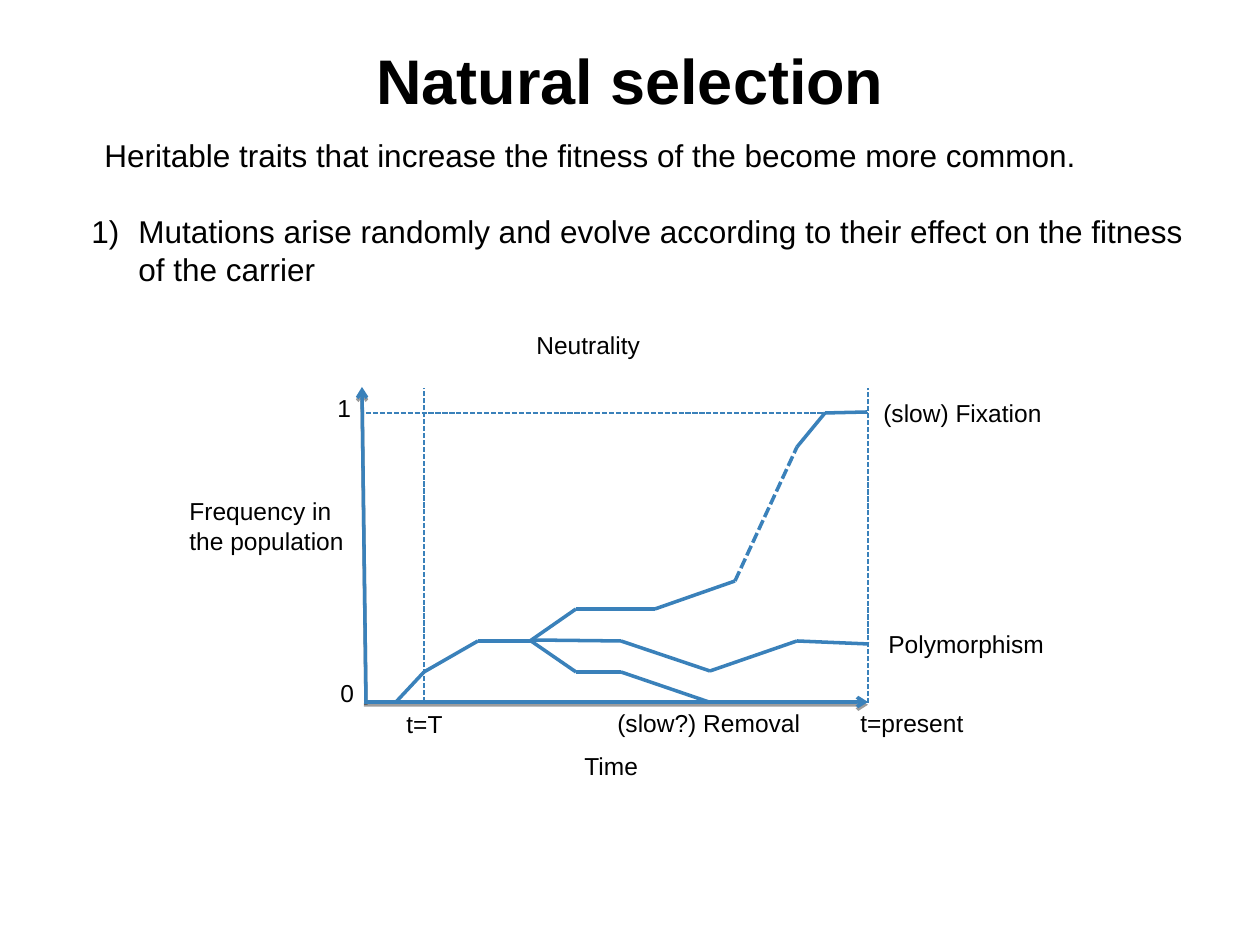
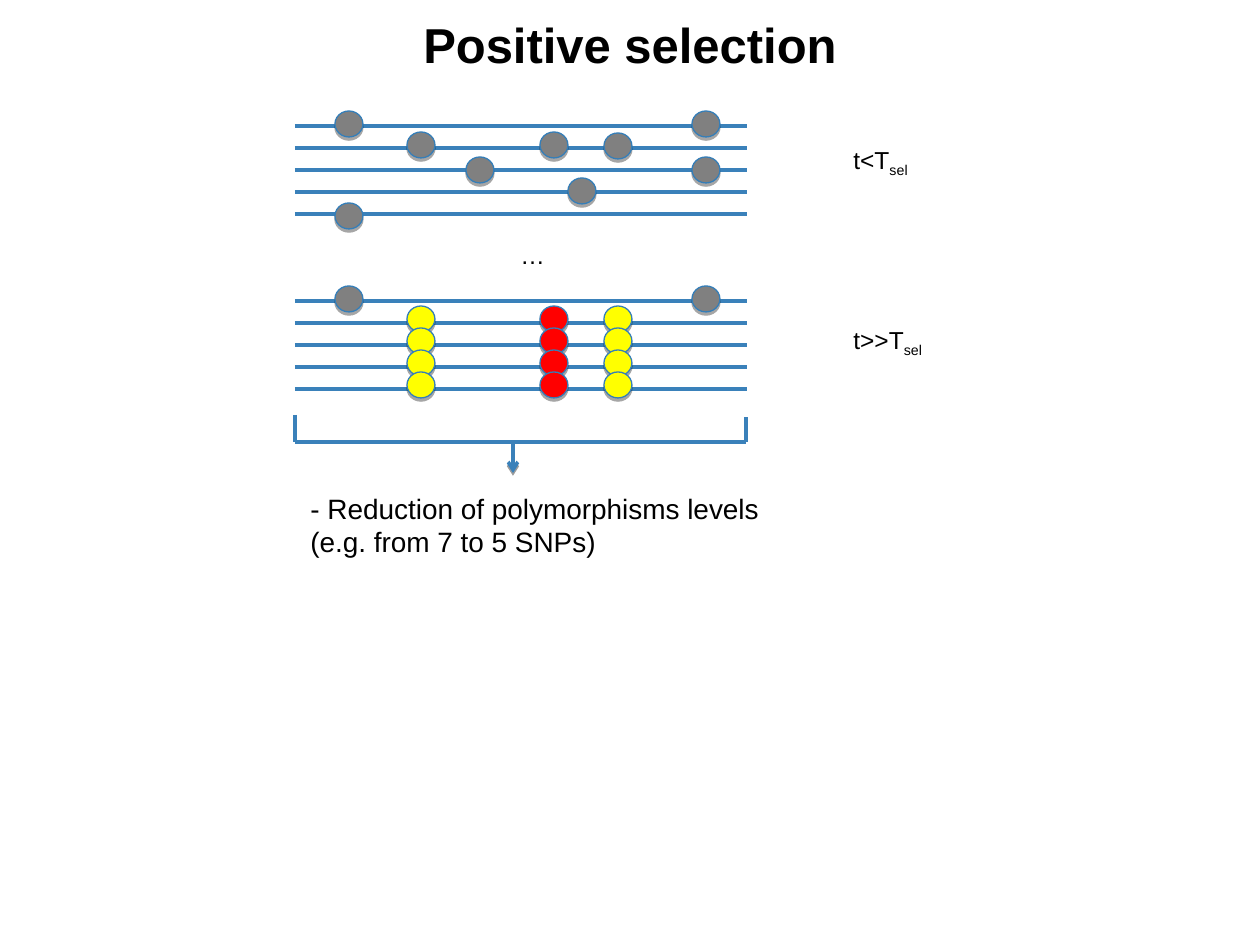
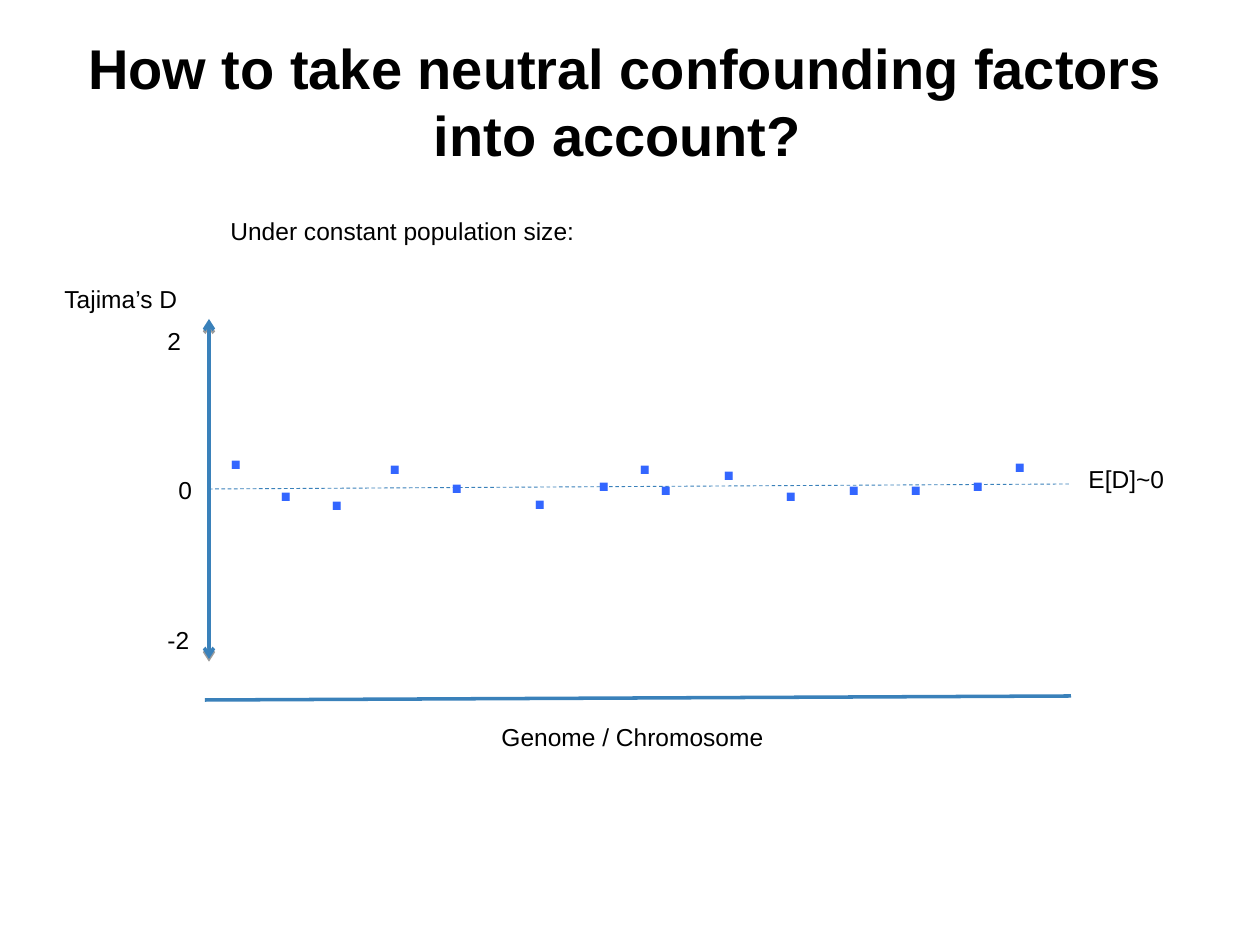
from lxml import etree
from pptx import Presentation
from pptx.dml.color import RGBColor
from pptx.enum.dml import MSO_LINE
from pptx.enum.shapes import MSO_CONNECTOR, MSO_SHAPE
from pptx.enum.text import MSO_ANCHOR, MSO_AUTO_SIZE, PP_ALIGN
from pptx.oxml.ns import qn
from pptx.util import Pt

PX = 914400 / 126
FONT = "Arial"
BLACK = RGBColor(0x00, 0x00, 0x00)
BLUE = RGBColor(0x3A, 0x81, 0xBA)
RIM = RGBColor(0x35, 0x7E, 0xB8)
DOT_BLUE = RGBColor(0x33, 0x66, 0xFF)
GREY = RGBColor(0x80, 0x80, 0x80)
YELLOW = RGBColor(0xFF, 0xFF, 0x00)
RED = RGBColor(0xFF, 0x00, 0x00)

# Slide 1: titles are text, box, size; labels are text, left, top, width
NATURAL_TITLE = ("Natural selection", (63, 0, 1134, 158), 36)
DEFINITION = "Heritable traits that increase the fitness of the become more common."
FIRST_POINT = ("Mutations arise randomly and evolve according to their effect "
               "on the fitness of the carrier")
NATURAL_LABELS = [
    ("0", 328, 672, 42), ("1", 325, 387, 42), ("Time", 572, 745, 98),
    ("t=T", 394, 703, 68), ("Neutrality", 524, 324, 136),
    ("t=present", 848, 702, 136), ("(slow?) Removal", 605, 702, 214),
    ("(slow) Fixation", 871, 392, 190), ("Polymorphism", 876, 623, 190),
]
FREQUENCY_AXIS = [(366, 702), (362, 387)]
TIME_AXIS = [(364, 702), (868, 702)]
GUIDES = [
    [(424, 702), (424, 388)],
    [(366, 413), (868, 413)],
    [(868, 703), (868, 388)],
]
FATES = [
    [(396, 702), (424, 672), (478, 641), (531, 641), (576, 672),
     (621, 672), (709, 702)],
    [(530, 641), (576, 609), (655, 609), (735, 581)],
    [(797, 447), (825, 413), (867, 412)],
    [(531, 640), (621, 641), (710, 671), (797, 641), (869, 644)],
]
FAST_RISE = [(735, 581), (797, 447)]

# Slide 2
POSITIVE_TITLE = ("Positive selection", (63, 2, 1134, 83), 28)
STRAND_LEFT, STRAND_RIGHT = 295, 747
STRAND_COUNT, STRAND_GAP = 5, 22
BEFORE_TOP, AFTER_TOP = 126, 301
BEFORE_ALLELES = [
    (335, 111, GREY), (407, 132, GREY), (466, 157, GREY), (335, 203, GREY),
    (540, 132, GREY), (568, 178, GREY), (692, 157, GREY), (692, 111, GREY),
    (604, 133, GREY),
]
SWEEP_COLUMNS = [(407, YELLOW), (540, RED), (604, YELLOW)]
SWEEP_TOP, SWEEP_ROWS = 306, 4
AFTER_ALLELES = [(335, 286, GREY), (692, 286, GREY)] + [
    (left, SWEEP_TOP + STRAND_GAP * row, color)
    for row in range(SWEEP_ROWS) for left, color in SWEEP_COLUMNS
]
TIMES = [("t<T", 139), ("t>>T", 319)]
BRACKET = [(295, 415), (295, 442), (746, 442), (746, 417)]
BRACKET_ARROW = [(513, 442), (513, 473)]
OUTCOME = ["- Reduction of polymorphisms levels", "(e.g. from 7 to 5 SNPs)"]

# Slide 3
NEUTRAL_TITLE = ("How to take neutral confounding factors into account? ",
                 (69, 59, 1113, 83), 32)
TAJIMA_LABELS = [
    ("Tajima’s D", 52, 278, 146), ("0", 166, 469, 42), ("2", 155, 320, 42),
    ("-2", 155, 619, 52), ("Genome / Chromosome", 489, 716, 294),
    ("E[D]~0", 1076, 458, 108), ("Under constant population size:", 218, 210, 376),
]
EXPECTED = [(209, 489), (1071, 484)]
D_AXIS = [[(209, 484), (209, 319)], [(209, 484), (209, 659)]]
GENOME_AXIS = [(205, 700), (1071, 696)]
DOTS = [
    (216, 407), (266, 439), (317, 448), (375, 412), (437, 431), (520, 447),
    (584, 429), (625, 412), (646, 433), (709, 418), (771, 439), (834, 433),
    (896, 433), (958, 429), (1000, 410),
]


def emu(*lengths):
    return [round(length * PX) for length in lengths]


def child(parent, tag, **attributes):
    return etree.SubElement(parent, qn(tag), attributes)


def set_effects(shape, alpha=0, distance=0):
    """Replace the theme shadow by a downward one, or by none when alpha is 0."""
    effects = child(shape.element.spPr, "a:effectLst")
    if alpha:
        shadow = child(effects, "a:outerShdw", blurRad="0", dist=str(Pt(distance)),
                       dir="5400000", rotWithShape="0")
        color = child(shadow, "a:srgbClr", val="000000")
        child(color, "a:alpha", val=str(alpha * 1000))


def add_path(shapes, points, width=2, dash=None, arrow=False):
    """Join successive points with straight connectors."""
    for start, end in zip(points, points[1:]):
        line = shapes.add_connector(MSO_CONNECTOR.STRAIGHT, *emu(*start, *end))
        line.line.color.rgb = BLUE
        line.line.width = Pt(width)
        if dash:
            line.line.dash_style = dash
        if arrow:
            child(line.element.spPr.find(qn("a:ln")), "a:tailEnd", type="arrow")
            set_effects(line, 38, 1.6)
        else:
            set_effects(line)


def add_span(para, text, size, color=BLACK, bold=False):
    span = para.add_run()
    span.text = text
    span.font.color.rgb = color
    for name, value in {"name": FONT, "size": Pt(size), "bold": bold}.items():
        setattr(span.font, name, value)
    return span


def add_box(page, place, inset=6.3, wrap=False, anchor=MSO_ANCHOR.TOP, grow=True):
    frame = page.shapes.add_textbox(*emu(*place)).text_frame
    side, edge = emu(12.6, inset)
    fit = MSO_AUTO_SIZE.SHAPE_TO_FIT_TEXT if grow else MSO_AUTO_SIZE.NONE
    settings = {"margin_left": side, "margin_right": side, "margin_top": edge,
                "margin_bottom": edge, "word_wrap": wrap,
                "vertical_anchor": anchor, "auto_size": fit}
    for name, value in settings.items():
        setattr(frame, name, value)
    return frame


def add_title(page, text, place, size):
    frame = add_box(page, place, 12.6, True, MSO_ANCHOR.MIDDLE, False)
    para = frame.paragraphs[0]
    para.alignment = PP_ALIGN.CENTER
    add_span(para, text, size, bold=True)


def add_label(page, text, left, top, width, height=42):
    frame = add_box(page, (left, top, width, height), wrap=True)
    add_span(frame.paragraphs[0], text, 14)
    return frame


def set_indent(para, margin, hang):
    properties = para._p.get_or_add_pPr()
    for name, value in zip(("marL", "indent"), emu(margin, -hang)):
        properties.set(name, str(value))
    return properties


def add_strands(page, top, alleles):
    shapes = page.shapes.add_group_shape().shapes
    for row in range(STRAND_COUNT):
        y = top + STRAND_GAP * row
        add_path(shapes, [(STRAND_LEFT, y), (STRAND_RIGHT, y)])
    for left, y, color in alleles:
        allele = shapes.add_shape(MSO_SHAPE.OVAL, *emu(left, y, 28, 26))
        allele.fill.solid()
        allele.fill.fore_color.rgb = color
        allele.line.color.rgb = RIM
        allele.line.width = Pt(0.75)
        set_effects(allele, 35, 1.8)


def build_natural_selection(page):
    add_title(page, *NATURAL_TITLE)
    frame = add_box(page, (63, 123, 1134, 181), 12.6, True, grow=False)
    definition = frame.paragraphs[0]
    set_indent(definition, 48, 19)
    add_span(definition, DEFINITION, 18)
    point = frame.add_paragraph()
    point.space_before = Pt(22)
    child(set_indent(point, 63, 47), "a:buAutoNum", type="arabicParenR")
    add_span(point, FIRST_POINT, 18)

    for axis in (FREQUENCY_AXIS, TIME_AXIS):
        add_path(page.shapes, axis, arrow=True)
    for guide in GUIDES:
        add_path(page.shapes, guide, width=1, dash=MSO_LINE.SQUARE_DOT)
    for fate in FATES:
        add_path(page.shapes, fate)
    add_path(page.shapes, FAST_RISE, dash=MSO_LINE.SQUARE_DOT)
    for label in NATURAL_LABELS:
        add_label(page, *label)
    add_label(page, "Frequency in the population", 177, 490, 185, 72)


def build_positive_selection(page):
    add_title(page, *POSITIVE_TITLE)
    add_strands(page, BEFORE_TOP, BEFORE_ALLELES)
    add_strands(page, AFTER_TOP, AFTER_ALLELES)
    for text, top in TIMES:
        frame = add_label(page, text, 841, top, 136, 45)
        subscript = add_span(frame.paragraphs[0], "sel", 14)
        subscript._r.get_or_add_rPr().set("baseline", "-25000")
    add_path(page.shapes, BRACKET)
    add_path(page.shapes, BRACKET_ARROW, arrow=True)
    frame = add_box(page, (298, 485, 474, 79))
    add_span(frame.paragraphs[0], OUTCOME[0], 16)
    add_span(frame.add_paragraph(), OUTCOME[1], 16)
    add_label(page, "…", 508, 234, 54)


def build_neutral_factors(page):
    add_title(page, *NEUTRAL_TITLE)
    add_path(page.shapes, EXPECTED, width=0.5, dash=MSO_LINE.DASH)
    for half in D_AXIS:
        add_path(page.shapes, half, arrow=True)
    add_path(page.shapes, GENOME_AXIS)
    for left, top in DOTS:
        frame = add_box(page, (left, top, 40, 79))
        add_span(frame.paragraphs[0], ".", 32, DOT_BLUE, True)
    for label in TAJIMA_LABELS:
        add_label(page, *label)


def main():
    deck = Presentation()
    deck.slide_width, deck.slide_height = emu(1260, 945)
    for build in (build_natural_selection, build_positive_selection,
                  build_neutral_factors):
        build(deck.slides.add_slide(deck.slide_layouts[6]))
    deck.save("out.pptx")


if __name__ == "__main__":
    main()
